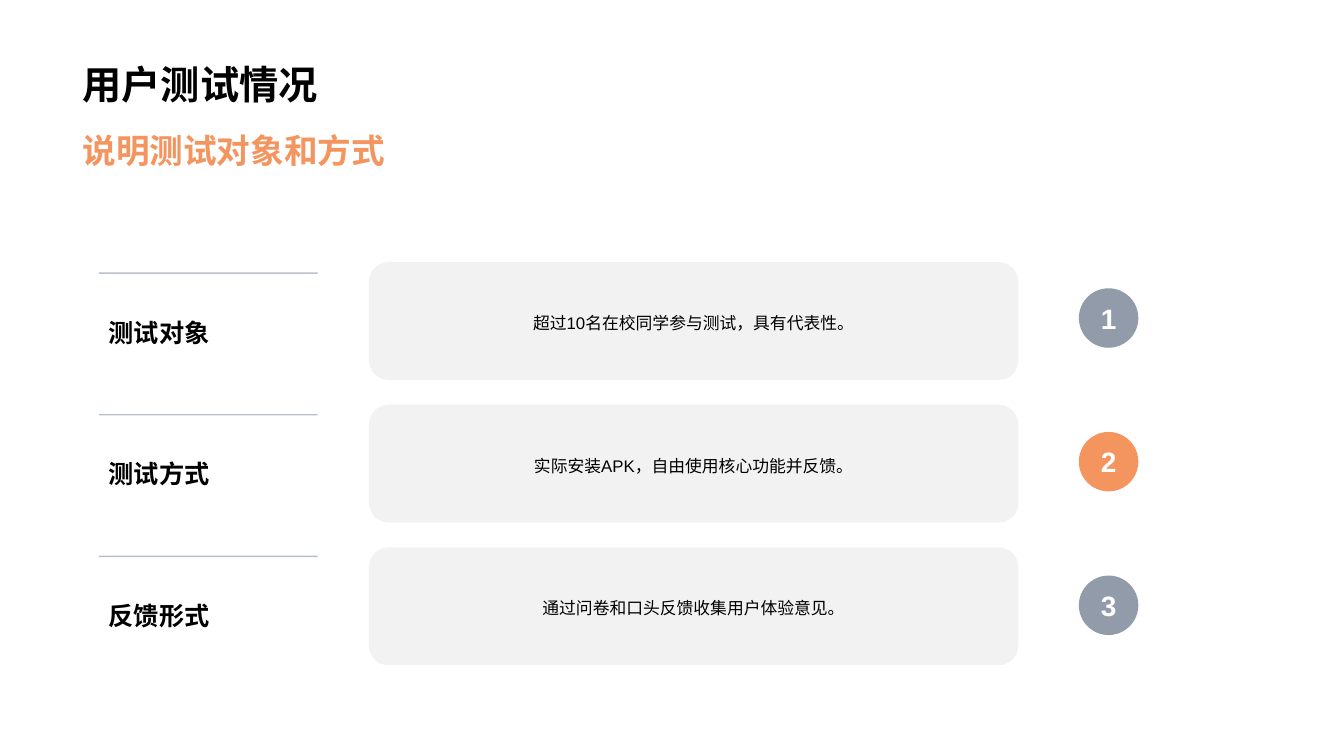
from pptx import Presentation
from pptx.enum import lang, shapes, text
from pptx import util as u
from pptx.dml.color import RGBColor
from pptx.oxml.ns import qn
from lxml import etree

SLATE, ORANGE, GRAY, BLACK, WHITE = "768394", "F4945F", "808080", "000000", "FFFFFF"


def paint(fill, color, owner=None, opacity=100):
    fill.solid()
    fill.fore_color.rgb = RGBColor.from_string(color)
    if opacity < 100:
        tint = next(owner.element.spPr.iter(qn("a:srgbClr")))
        etree.SubElement(tint, qn("a:alpha")).set("val", str(opacity * 1000))


def write(shape, content, size, color=BLACK, bold=True, align=text.PP_ALIGN.LEFT,
          anchor=text.MSO_ANCHOR.MIDDLE, spacing=1.0):
    frame = shape.text_frame
    frame.word_wrap = True
    frame.auto_size = text.MSO_AUTO_SIZE.NONE
    frame.vertical_anchor = anchor
    paragraph = frame.paragraphs[0]
    paragraph.alignment = align
    paragraph.line_spacing = spacing
    run = paragraph.add_run()
    run.text = content
    run.font.name = "Arial"
    run.font.size = u.Pt(size)
    run.font.bold = bold
    run.font.language_id = lang.MSO_LANGUAGE_ID.SIMPLIFIED_CHINESE
    paint(run.font.fill, color)


presentation = Presentation()
presentation.slide_width = u.Inches(13.33)
presentation.slide_height = u.Inches(7.5)
slide = presentation.slides.add_slide(presentation.slide_layouts[5])

# Title and subtitle
title = slide.shapes.title
title.left, title.top = u.Inches(0.72), u.Inches(0.14)
title.width, title.height = u.Inches(11.88), u.Inches(0.98)
write(title, "用户测试情况", 28, anchor=text.MSO_ANCHOR.BOTTOM)

subtitle = slide.shapes.add_textbox(u.Inches(0.72), u.Inches(1.24), u.Inches(11.88), u.Inches(1.23))
write(subtitle, "说明测试对象和方式", 24, ORANGE, anchor=text.MSO_ANCHOR.TOP)

# Rows: rule, label, description card, number badge
rows = [
    ("测试对象", "超过10名在校同学参与测试，具有代表性。", SLATE, 80),
    ("测试方式", "实际安装APK，自由使用核心功能并反馈。", ORANGE, 100),
    ("反馈形式", "通过问卷和口头反馈收集用户体验意见。", SLATE, 80),
]
for index, (heading, description, badge_color, badge_opacity) in enumerate(rows):
    rule_top = u.Inches(2.71 + 1.405 * index)
    rule = slide.shapes.add_connector(shapes.MSO_CONNECTOR.STRAIGHT,
                                      u.Inches(0.98), rule_top, u.Inches(3.15), rule_top)
    rule.line.width = u.Pt(1)
    paint(rule.line.fill, SLATE, rule, 50)
    etree.SubElement(rule.element.spPr, qn("a:effectLst"))

    label = slide.shapes.add_textbox(u.Inches(0.98), u.Inches(2.94 + 1.405 * index),
                                     u.Inches(2.32), u.Inches(0.71))
    write(label, heading, 18)

    card = slide.shapes.add_shape(shapes.MSO_SHAPE.ROUNDED_RECTANGLE,
                                  u.Inches(3.66), u.Inches(2.6 + 1.415 * index),
                                  u.Inches(6.44), u.Inches(1.17))
    badge = slide.shapes.add_shape(shapes.MSO_SHAPE.OVAL,
                                   u.Inches(10.7), u.Inches(2.86 + 1.425 * index),
                                   u.Inches(0.59), u.Inches(0.59))
    for shape, color, opacity in ((card, GRAY, 10), (badge, badge_color, badge_opacity)):
        shape.shadow.inherit = False
        shape.line.fill.background()
        paint(shape.fill, color, shape, opacity)
    write(card, description, 12, bold=False, align=text.PP_ALIGN.CENTER, spacing=1.2)
    write(badge, str(index + 1), 20, WHITE, align=text.PP_ALIGN.CENTER)

presentation.save("out.pptx")
